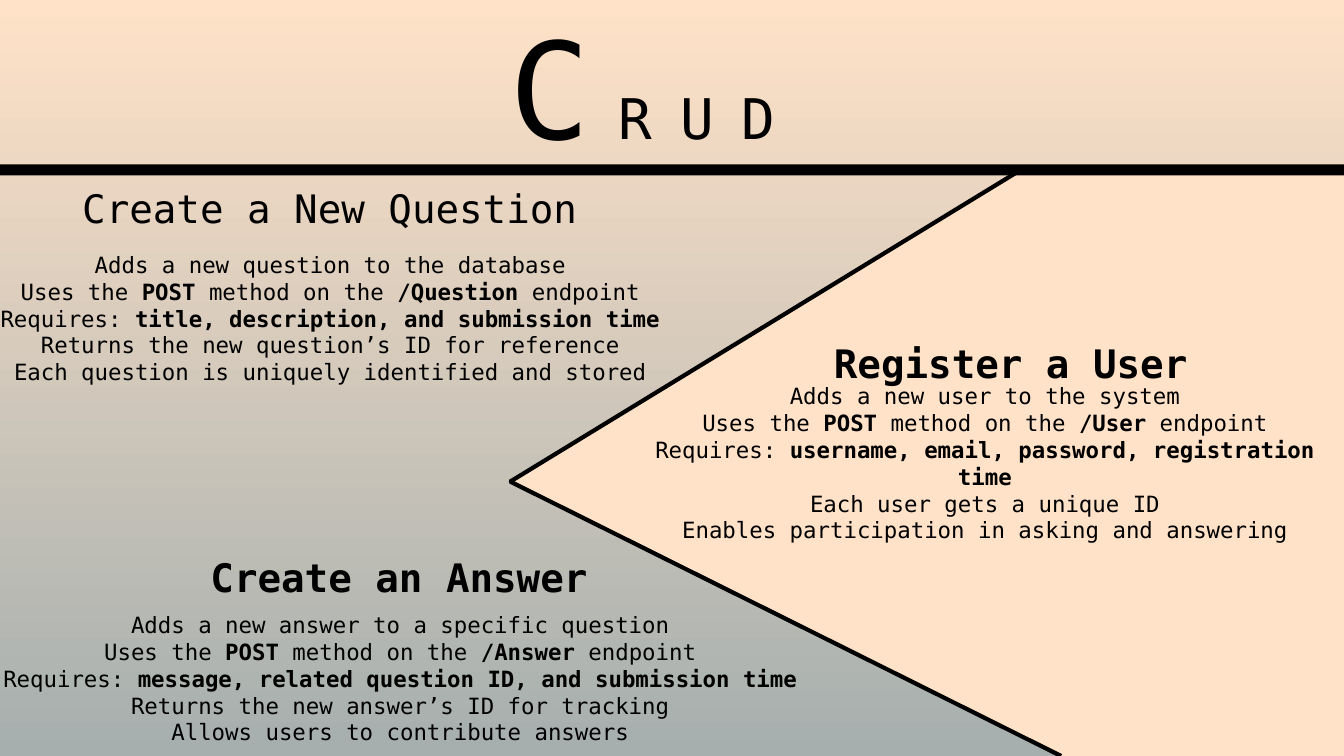
from pptx import Presentation
from pptx.dml.color import RGBColor
from pptx.enum import shapes, text
from pptx.oxml.ns import qn
from pptx.util import Pt
from lxml import etree

FONT = "DejaVu Sans Mono"
PEACH, GREY, BLACK = "FFE2C8", "A6AFAE", "000000"
LEFT, CENTER = text.PP_ALIGN.LEFT, text.PP_ALIGN.CENTER


def color(value):
    return RGBColor.from_string(value)


def add_text(box, paragraphs, size, align=CENTER, side_inset=0):
    """Add a text box; each paragraph is split at * into plain and bold runs."""
    frame = slide.shapes.add_textbox(*map(Pt, box)).text_frame
    settings = {"word_wrap": True, "margin_left": Pt(side_inset), "margin_right": Pt(side_inset)}
    for name, value in settings.items():
        setattr(frame, name, value)
    for index, line in enumerate(paragraphs):
        paragraph = frame.paragraphs[0] if index == 0 else frame.add_paragraph()
        paragraph.alignment = align
        for position, part in enumerate(line.split("*")):
            if not part:
                continue
            run = paragraph.add_run()
            run.text = part
            run.font.color.rgb = color(BLACK)
            for name, value in {"name": FONT, "size": Pt(size), "bold": position % 2 == 1}.items():
                setattr(run.font, name, value)
    return frame


presentation = Presentation()
presentation.slide_width, presentation.slide_height = Pt(960), Pt(540)
slide = presentation.slides.add_slide(presentation.slide_layouts[6])

background = slide.background.fill
background.gradient()
background.gradient_angle = 270
for stop, value in zip(background.gradient_stops, (PEACH, GREY)):
    stop.color.rgb = color(value)

# Peach arrow panel with its two black edges
tip, upper, lower = (364.5, 344), (733, 119), (758, 540)
builder = slide.shapes.build_freeform(*tip, scale=Pt(1))
builder.add_line_segments([upper, (960, 119), (960, 540), lower])
panel = builder.convert_to_shape()
panel.shadow.inherit = False
panel.fill.solid()
panel.fill.fore_color.rgb = color(PEACH)
panel.line.fill.background()

for end in (upper, lower):
    edge = slide.shapes.add_connector(
        shapes.MSO_CONNECTOR.STRAIGHT, *map(Pt, end + tip))
    edge.line.color.rgb = color(BLACK)
    edge.line.width = Pt(3)
    etree.SubElement(edge.element.spPr, qn("a:effectLst"))

black_shapes = [
    (shapes.MSO_SHAPE.OVAL, (363.5, 342, 3.6, 3.6)),
    (shapes.MSO_SHAPE.RECTANGLE, (0, 117.4, 960, 7.9)),
]
for kind, box in black_shapes:
    shape = slide.shapes.add_shape(kind, *map(Pt, box))
    shape.shadow.inherit = False
    shape.fill.solid()
    shape.fill.fore_color.rgb = color(BLACK)
    shape.line.fill.background()

# Title with a large initial and wide letter spacing
title = add_text((357, 0, 246, 124), ["C*RUD"], 96, LEFT, 7.2)
initial, rest = title.paragraphs[0].runs
rest.font.size, rest.font.bold = Pt(40), False
for run in (initial, rest):
    run.font.element.set("spc", "2000") if hasattr(run.font, "element") else run._r.get_or_add_rPr().set("spc", "2000")

sections = [
    ((47.5, 128, 376, 41), "Create a New Question", (0, 175.7, 471.6, 104.4), [
        "Adds a new question to the database",
        "Uses the *POST* method on the */Question *endpoint",
        "Requires: *title, description, and submission time*",
        "Returns the new question’s ID for reference",
        "Each question is uniquely identified and stored",
    ]),
    ((139, 392, 292, 41), "*Create an Answer*", (0, 433, 571.6, 104.4), [
        "Adds a new answer to a specific question",
        "Uses the *POST* method on the */Answer *endpoint",
        "Requires: *message, related question ID, and submission time*",
        "Returns the new answer’s ID for tracking",
        "Allows users to contribute answers",
    ]),
    ((588, 239, 268, 41), "*Register a User*", (447, 269.5, 513, 123.5), [
        "Adds a new user to the system",
        "Uses the *POST* method on the */User *endpoint",
        "Requires: *username, email, password, registration time*",
        "Each user gets a unique ID",
        "Enables participation in asking and answering",
    ]),
]
for heading_box, heading, body_box, body in sections:
    add_text(heading_box, [heading], 28)
    frame = add_text(body_box, body, 16)
    frame.word_wrap = body_box[0] > 0

presentation.save("out.pptx")
